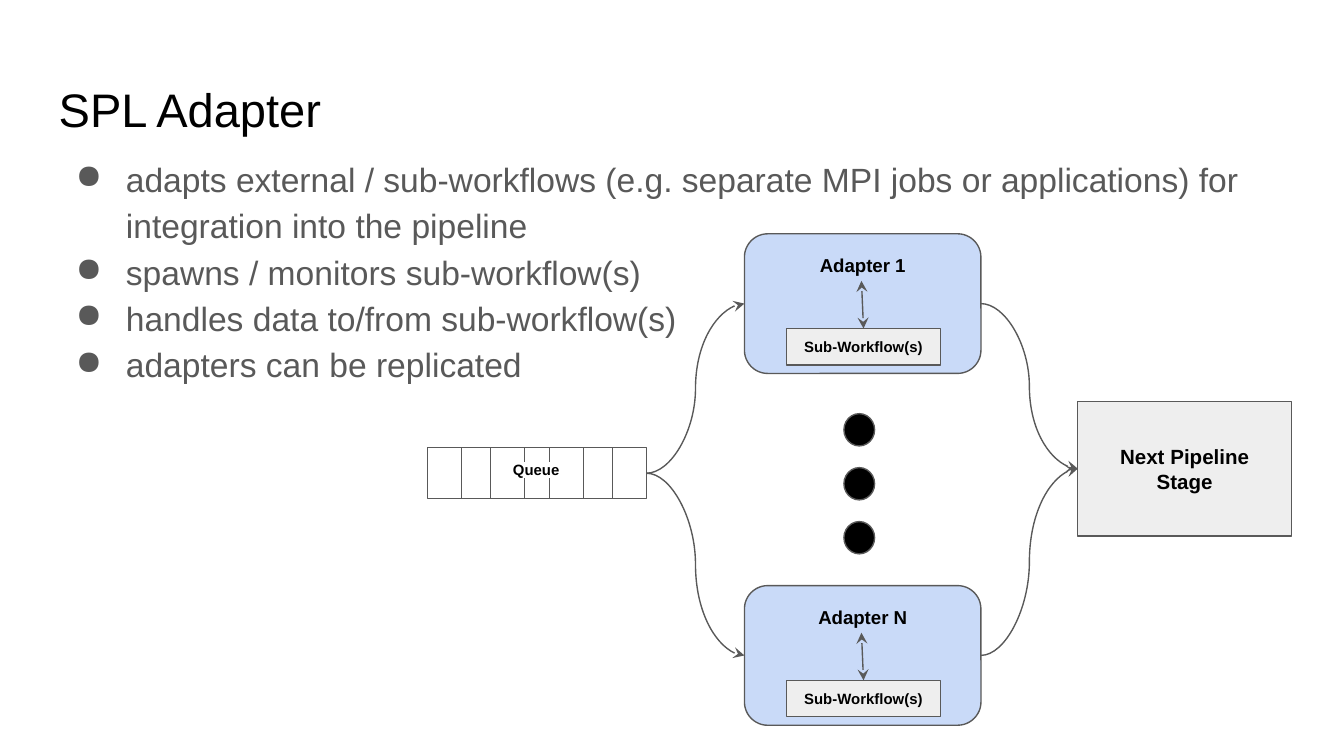
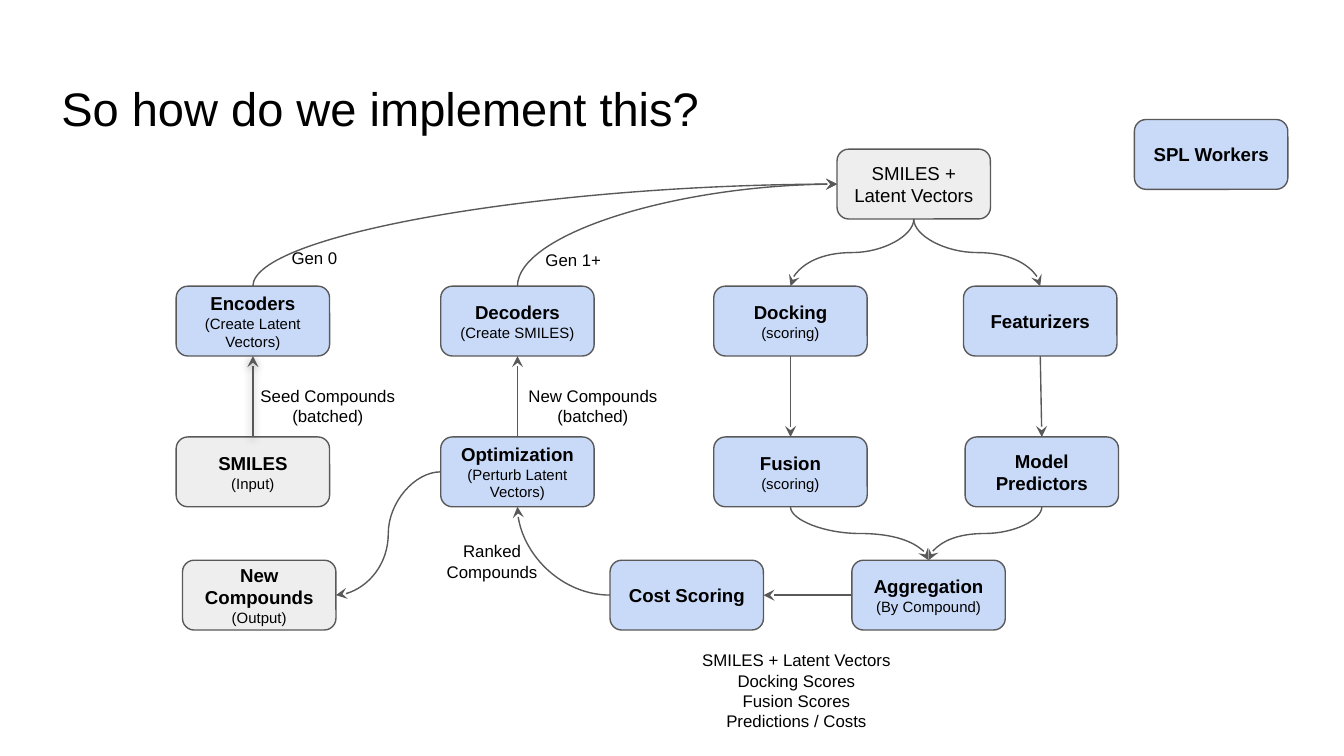
from dataclasses import dataclass

from lxml.etree import SubElement as Sub
from pptx import Presentation
from pptx.dml.color import RGBColor as Rgb
from pptx.enum.shapes import MSO_CONNECTOR as Wire, MSO_SHAPE as Kind
from pptx.enum.text import MSO_ANCHOR as Anchor, PP_ALIGN as Align
from pptx.oxml.ns import qn
from pptx.util import Cm, Pt


@dataclass(frozen=True)
class Theme:
    font: str = "Arial"
    black: str = "000000"
    white: str = "FFFFFF"
    gray: str = "595959"
    blue: str = "C9DAF8"
    pale: str = "EEEEEE"
    title: float = 25.2
    body: float = 18
    stage: float = 11
    node: float = 10
    label: float = 9
    note: float = 8
    line: float = 0.75
    inset: float = 0.25


T = Theme()
TOP, LEFT, BOTTOM, RIGHT = range(4)

# Slide 1: places in cm
ADAPT_TITLE = "SPL Adapter", (0.86, 1.24)
POINTS = [
    "adapts external / sub-workflows (e.g. separate MPI jobs or applications) "
    "for integration into the pipeline",
    "spawns / monitors sub-workflow(s)",
    "handles data to/from sub-workflow(s)",
    "adapters can be replicated",
]
ADAPTERS = [("Adapter 1", 4.42), ("Adapter N", 11.07)]
CELLS = [0, 0.64, 1.19, 1.83]

# Slide 2: name -> (left, top, fill, head lines, note)
FLOW_TITLE = "So how do we implement this?", (0.91, 1.22)
ROWS = GEN, MID, END = 5.41, 8.26, 10.59
NODES = {
    "input": (3.33, MID, T.pale, ["SMILES"], "(Input)"),
    "decode": (8.33, GEN, T.blue, ["Decoders"], "(Create SMILES)"),
    "encode": (3.33, GEN, T.blue, ["Encoders"], "(Create Latent Vectors)"),
    "optim": (8.33, MID, T.blue, ["Optimization"], "(Perturb Latent Vectors)"),
    "dock": (13.49, GEN, T.blue, ["Docking"], "(scoring)"),
    "fuse": (13.49, MID, T.blue, ["Fusion"], "(scoring)"),
    "feature": (18.21, GEN, T.blue, ["Featurizers"], None),
    "model": (18.24, MID, T.blue, ["Model", "Predictors"], None),
    "total": (16.1, END, T.blue, ["Aggregation"], "(By Compound)"),
    "cost": (11.53, END, T.blue, ["Cost Scoring"], None),
    "latent": (15.82, 2.82, T.pale, ["SMILES +", "Latent Vectors"], None),
    "legend": (21.44, 2.26, T.blue, ["SPL Workers"], None),
    "output": (3.45, END, T.pale, ["New Compounds"], "(Output)"),
}
LINKS = [
    ("cost", LEFT, "optim", BOTTOM),
    ("encode", TOP, "latent", LEFT),
    ("decode", TOP, "latent", LEFT),
    ("input", TOP, "encode", BOTTOM),
    ("optim", TOP, "decode", BOTTOM),
    ("latent", BOTTOM, "dock", TOP),
    ("latent", BOTTOM, "feature", TOP),
    ("dock", BOTTOM, "fuse", TOP),
    ("feature", BOTTOM, "model", TOP),
    ("model", BOTTOM, "total", TOP),
    ("fuse", BOTTOM, "total", TOP),
    ("total", LEFT, "cost", RIGHT),
    ("optim", LEFT, "output", RIGHT),
]
LABELS = [
    (5.26, 4.5, 1.85, 0.89, Align.LEFT, ["Gen 0"]),
    (10.06, 4.52, 2.26, 0.89, Align.LEFT, ["Gen 1+"]),
    (12.7, 12.04, 4.7, 2.06, Align.CENTER,
     ["SMILES + Latent Vectors", "Docking Scores", "Fusion Scores",
      "Predictions / Costs"]),
    (7.98, 9.98, 2.64, 1.27, Align.CENTER, ["Ranked", "Compounds"]),
    (9.12, 7.04, 4.17, 1.27, Align.CENTER, ["New Compounds", "(batched)"]),
    (4.11, 7.04, 4.17, 1.27, Align.CENTER, ["Seed Compounds", "(batched)"]),
]


def write(shape, lines, size=T.node, color=T.black, bold=False,
          align=Align.CENTER, anchor=Anchor.MIDDLE, space=None,
          bullet=None, mark=None, note=None):
    """Fill a shape with one paragraph per line, then a smaller note."""
    frame = shape.text_frame
    frame.word_wrap = True
    frame.vertical_anchor = anchor
    frame.margin_left = frame.margin_right = Cm(T.inset)
    frame.margin_top = frame.margin_bottom = Cm(T.inset)
    rows = [(line, size, bold) for line in lines]
    if note:
        rows.append((note, T.note, False))
    for i, (line, points, heavy) in enumerate(rows):
        para = frame.add_paragraph() if i else frame.paragraphs[0]
        para.alignment = align
        if space:
            para.line_spacing = space
        if bullet:
            props = para._p.get_or_add_pPr()
            props.set("marL", str(Cm(1.27)))
            props.set("indent", str(-Cm(0.95)))
            tint = Sub(props, qn("a:buClr"))
            Sub(tint, qn("a:srgbClr"), val=color)
            Sub(props, qn("a:buChar"), char=bullet)
        run = para.add_run()
        run.text = line
        font = run.font
        font.size, font.bold, font.name = Pt(points), heavy, T.font
        font.color.rgb = Rgb.from_string(color)
        if mark:
            fill = run._r.rPr.find(qn("a:solidFill"))
            glow = Sub(run._r.rPr, qn("a:highlight"))
            Sub(glow, qn("a:srgbClr"), val=mark)
            fill.addnext(glow)


def label(slide, place, lines, **style):
    box = slide.shapes.add_textbox(*map(Cm, place))
    write(box, lines, **{"anchor": Anchor.TOP, **style})


def block(slide, kind, place, fill=None, lines=(), **style):
    shape = slide.shapes.add_shape(kind, *map(Cm, place))
    shape.shadow.inherit = False
    if fill:
        shape.fill.solid()
        shape.fill.fore_color.rgb = Rgb.from_string(fill)
    else:
        shape.fill.background()
    shape.line.color.rgb = Rgb.from_string(T.gray)
    shape.line.width = Pt(T.line)
    if lines:
        write(shape, lines, **style)
    return shape


def ink(wire, both=False, shade=False):
    """Give a connector its line, arrowheads and, if asked, a soft shadow."""
    wire.line.color.rgb = Rgb.from_string(T.gray)
    wire.line.width = Pt(T.line)
    props = wire._element.spPr
    line = props.find(qn("a:ln"))
    for end in ("headEnd", "tailEnd") if both else ("tailEnd",):
        Sub(line, qn(f"a:{end}"), type="stealth")
    effects = Sub(props, qn("a:effectLst"))
    if shade:
        cast = Sub(effects, qn("a:outerShdw"), blurRad=str(Pt(4.5)),
                   dist=str(Pt(1.5)), dir="5400000", algn="bl", rotWithShape="0")
        tint = Sub(cast, qn("a:srgbClr"), val=T.black)
        Sub(tint, qn("a:alpha"), val="50000")


def turn(wire):
    """Rotate a curve's frame so that it leaves its start vertically."""
    dx, dy = wire.end_x - wire.begin_x, wire.end_y - wire.begin_y
    mid_x, mid_y = wire.begin_x + dx // 2, wire.begin_y + dy // 2
    wide, high = abs(dy), abs(dx)
    wire.left, wire.top = mid_x - wide // 2, mid_y - high // 2
    wire.width, wire.height = wide, high
    frame = wire._element.spPr.find(qn("a:xfrm"))
    for flip in ("flipH", "flipV"):
        frame.attrib.pop(flip, None)
    down, right = dy > 0, dx > 0
    frame.set("rot", str((90 if down != right and down else 270) * 60000))
    if down and right:
        frame.set("flipH", "1")


def link(slide, start, out, stop, into, **style):
    """Join two sides: straight if they face each other, else curved."""
    wire = slide.shapes.add_connector(Wire.CURVE, 0, 0, 0, 0)
    wire.begin_connect(start, out)
    wire.end_connect(stop, into)
    shape = wire._element.spPr.find(qn("a:prstGeom"))
    if min(wire.width, wire.height) < Cm(0.1):
        shape.set("prst", "line")
    else:
        if out % 2 != into % 2:
            shape.set("prst", "curvedConnector2")
        if out in (TOP, BOTTOM):
            turn(wire)
    ink(wire, **style)


def page(deck, title, corner):
    slide = deck.slides.add_slide(deck.slide_layouts[6])
    label(slide, (*corner, 23.67, 1.6), [title], size=T.title,
          align=Align.LEFT, anchor=Anchor.BOTTOM)
    return slide


def adapter(slide, name, top):
    left = 14.07
    body = block(slide, Kind.ROUNDED_RECTANGLE, (left, top, 4.47, 2.64), T.blue,
                 [name], bold=True, anchor=Anchor.TOP)
    job = block(slide, Kind.RECTANGLE, (left + 0.79, top + 1.79, 2.92, 0.69),
                T.pale, ["Sub-Workflow(s)"], size=T.note, bold=True)
    x, y = Cm(left + 2.21), Cm(top + 0.89)
    wire = slide.shapes.add_connector(Wire.STRAIGHT, x, y, x, y)
    wire.end_connect(job, TOP)
    ink(wire, both=True)
    return body


def adapters(deck):
    slide = page(deck, *ADAPT_TITLE)
    label(slide, (0.86, 2.64, 23.67, 4.83), POINTS, size=T.body, color=T.gray,
          align=Align.LEFT, space=1.15, bullet="●")
    for i in range(3):
        block(slide, Kind.OVAL, (15.95, 7.82 + 1.02 * i, 0.58, 0.61), T.black)
    for shift in CELLS:
        queue = block(slide, Kind.RECTANGLE, (8.08 + shift, 8.46, 2.31, 0.97))
    label(slide, (8.18, 8.53, 3.91, 0.86), ["Queue"], size=T.note, bold=True,
          mark=T.white)
    stage = block(slide, Kind.FLOWCHART_PROCESS, (20.37, 7.59, 4.04, 2.54), T.pale,
                  ["Next Pipeline Stage"], size=T.stage, bold=True)
    for name, top in ADAPTERS:
        body = adapter(slide, name, top)
        link(slide, queue, RIGHT, body, LEFT)
        link(slide, body, RIGHT, stage, LEFT)


def flow(deck):
    slide = page(deck, *FLOW_TITLE)
    nodes = {
        key: block(slide, Kind.ROUNDED_RECTANGLE, (left, top, 2.9, 1.32), fill,
                   lines, note=note, bold=key != "latent")
        for key, (left, top, fill, lines, note) in NODES.items()
    }
    for start, out, stop, into in LINKS:
        link(slide, nodes[start], out, nodes[stop], into, shade=start == "input")
    for *place, align, lines in LABELS:
        label(slide, place, lines, size=T.label, align=align)


def main():
    deck = Presentation()
    deck.slide_width, deck.slide_height = Cm(25.4), Cm(14.29)
    adapters(deck)
    flow(deck)
    deck.save("out.pptx")


if __name__ == "__main__":
    main()
